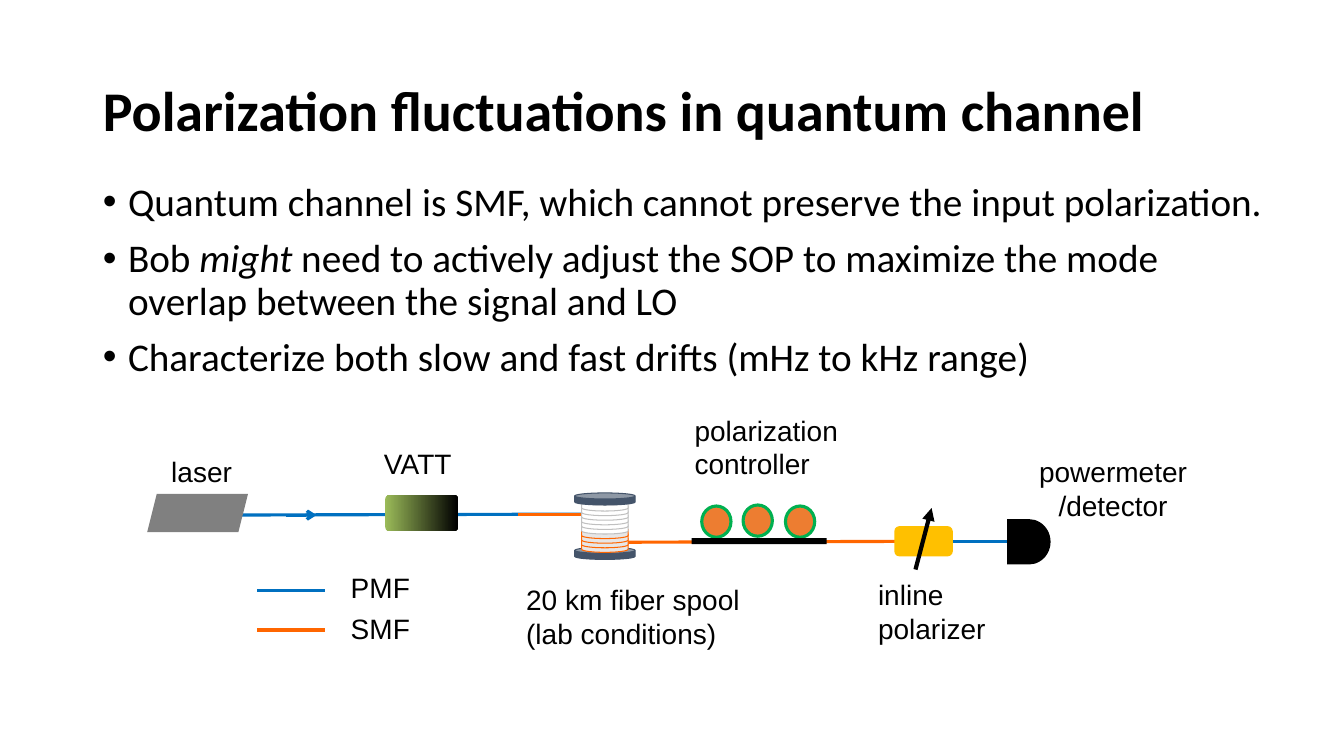
from lxml import etree
from pptx import Presentation
from pptx.dml.color import RGBColor
from pptx.enum.shapes import MSO_CONNECTOR, MSO_SHAPE
from pptx.enum.text import MSO_ANCHOR, MSO_AUTO_SIZE, PP_ALIGN
from pptx.oxml.ns import qn
from pptx.util import Inches, Pt

BLACK = RGBColor(0x00, 0x00, 0x00)
WHITE = RGBColor(0xFF, 0xFF, 0xFF)
GREY = RGBColor(0x80, 0x80, 0x80)
PALE = RGBColor(0xE7, 0xE6, 0xE6)
THREAD = RGBColor(0xC0, 0xC0, 0xC0)
SLATE = RGBColor(0x44, 0x54, 0x6A)
BLUE = RGBColor(0x00, 0x70, 0xC0)
ORANGE = RGBColor(0xFF, 0x66, 0x00)
PADDLE = RGBColor(0xED, 0x7D, 0x31)
GREEN = RGBColor(0x00, 0xB0, 0x50)
OLIVE = RGBColor(0x9B, 0xBB, 0x59)
AMBER = RGBColor(0xFF, 0xC0, 0x00)

# Content: bullets are lists of (text, italic) runs
TITLE = "Polarization fluctuations in quantum channel"
BULLETS = [
    [("Quantum channel is SMF, which cannot preserve the input polarization.", False)],
    [("Bob ", False), ("might", True),
     (" need to actively adjust the SOP to maximize the mode overlap "
      "between the signal and LO", False)],
    [("Characterize both slow and fast drifts (mHz to kHz range)", False)],
]
# Labels: lines, left, top, width, height, alignment, space before later lines
LABELS = [
    (["laser"], 1.6, 4.46, 0.95, 0.43, PP_ALIGN.LEFT, 0),
    (["VATT"], 3.71, 4.38, 0.95, 0.46, PP_ALIGN.LEFT, 0),
    (["polarization ", "controller"], 6.79, 4.05, 1.71, 0.77, PP_ALIGN.LEFT, 0),
    (["20 km fiber spool ", "(lab conditions)"], 5.12, 5.73, 2.41, 0.77, PP_ALIGN.LEFT, 0),
    (["inline ", "polarizer"], 8.61, 5.68, 1.28, 0.77, PP_ALIGN.LEFT, 0),
    (["powermeter", "/detector"], 10.2, 4.46, 1.68, 0.77, PP_ALIGN.CENTER, 0),
    (["PMF", "SMF"], 3.38, 5.61, 1.28, 0.91, PP_ALIGN.LEFT, 5),
]

prs = Presentation()
prs.slide_width, prs.slide_height = Inches(13.33), Inches(7.5)
slide = prs.slides.add_slide(prs.slide_layouts[1])


def place(shape, left, top, width, height):
    shape.left, shape.top = Inches(left), Inches(top)
    shape.width, shape.height = Inches(width), Inches(height)


def add_run(paragraph, text, font, size, bold=False, italic=False):
    run = paragraph.add_run()
    run.text = text
    run.font.name, run.font.size = font, Pt(size)
    run.font.bold, run.font.italic = bold, italic
    run.font.color.rgb = BLACK


def add_part(kind, box, fill, line=None, weight=0.75, adj=None, parent=slide):
    part = parent.shapes.add_shape(kind, *map(Inches, box))
    part.shadow.inherit = False
    part.fill.solid()
    part.fill.fore_color.rgb = fill
    if line is None:
        part.line.fill.background()
    else:
        part.line.color.rgb = line
        part.line.width = Pt(weight)
    if adj is not None:
        part.adjustments[0] = adj
    return part


def add_line(start, end, color, weight=2.25, head=None, parent=slide):
    line = parent.shapes.add_connector(
        MSO_CONNECTOR.STRAIGHT, *map(Inches, (*start, *end)))
    line.line.color.rgb = color
    line.line.width = Pt(weight)
    if head:
        etree.SubElement(line.line._get_or_add_ln(), qn("a:tailEnd"), type=head)
    etree.SubElement(line._element.spPr, qn("a:effectLst"))


# Title and bullets
title, body = slide.shapes.title, slide.placeholders[1]
place(title, 0.92, 0.4, 11.5, 1.45)
place(body, 0.92, 1.76, 11.84, 2.71)
for holder in (title, body):
    holder.text_frame.word_wrap = True
    holder.text_frame.auto_size = MSO_AUTO_SIZE.NONE
title.text_frame.vertical_anchor = MSO_ANCHOR.MIDDLE
heading = title.text_frame.paragraphs[0]
heading.alignment = PP_ALIGN.LEFT
heading.line_spacing = 0.9
add_run(heading, TITLE, "Calibri", 40, bold=True)

for i, runs in enumerate(BULLETS):
    frame = body.text_frame
    paragraph = frame.add_paragraph() if i else frame.paragraphs[0]
    paragraph.line_spacing, paragraph.space_before = 0.9, Pt(10)
    props = paragraph._p.get_or_add_pPr()
    props.set("marL", str(Inches(0.25)))
    props.set("indent", str(Inches(-0.25)))
    etree.SubElement(props, qn("a:buFont"), typeface="Arial")
    etree.SubElement(props, qn("a:buChar"), char="•")
    for text, italic in runs:
        add_run(paragraph, text, "Calibri", 28, italic=italic)

# Fibers behind the components
add_line((6, 5.38), (9.31, 5.37), ORANGE)
add_line((2.14, 5.11), (6, 5.1), BLUE)
add_line((2.84, 5.11), (3.14, 5.11), BLUE, head="arrow")
add_line((5.14, 5.1), (5.81, 5.1), ORANGE)
add_line((9.45, 5.37), (10.12, 5.37), BLUE)

# Laser and attenuator
add_part(MSO_SHAPE.PARALLELOGRAM, (1.46, 4.9, 1, 0.38), GREY, adj=0.25)
vatt = add_part(MSO_SHAPE.ROUNDED_RECTANGLE, (3.82, 4.91, 0.72, 0.36), OLIVE, adj=0.12)
vatt.fill.gradient()
vatt.fill.gradient_angle = 0
for stop, color, position in zip(vatt.fill.gradient_stops, (OLIVE, BLACK), (0, 1)):
    stop.color.rgb, stop.position = color, position

# Fiber spool: flanges around ten windings, stacked from the bottom up
spool = slide.shapes.add_group_shape()
WINDINGS, ORANGE_WINDINGS = 10, 4
add_part(MSO_SHAPE.CAN, (5.7, 5.43, 0.6, 0.12), SLATE, SLATE, adj=0.5, parent=spool)
for i in range(WINDINGS):
    fill, line = (PALE, ORANGE) if i < ORANGE_WINDINGS else (WHITE, THREAD)
    top = 5.36 - i * 0.41 / (WINDINGS - 1)
    add_part(MSO_SHAPE.CAN, (5.77, top, 0.46, 0.12), fill, line, adj=0.5, parent=spool)
add_part(MSO_SHAPE.CAN, (5.7, 4.89, 0.6, 0.12), SLATE, SLATE, adj=0.5, parent=spool)

# Polarization controller: three paddles on a base
controller = slide.shapes.add_group_shape()
for left, top in ((6.96, 5.02), (7.37, 5.01), (7.79, 5.02)):
    add_part(MSO_SHAPE.OVAL, (left, top, 0.29, 0.31), PADDLE, GREEN, 2.25, parent=controller)
add_part(MSO_SHAPE.RECTANGLE, (6.86, 5.34, 1.34, 0.06), BLACK, parent=controller)

# Inline polarizer and detector
add_part(MSO_SHAPE.ROUNDED_RECTANGLE, (8.87, 5.22, 0.58, 0.3), AMBER)
add_line((9.08, 5.65), (9.24, 5.04), BLACK, 3, "triangle")
add_part(MSO_SHAPE.FLOWCHART_DELAY, (9.99, 5.15, 0.43, 0.45), BLACK)

# Legend lines
legend = slide.shapes.add_group_shape()
for y, color in ((5.86, BLUE), (6.25, ORANGE)):
    add_line((2.55, y), (3.22, y), color, parent=legend)

# Labels
for lines, left, top, width, height, align, gap in LABELS:
    box = slide.shapes.add_textbox(*map(Inches, (left, top, width, height)))
    box.text_frame.word_wrap = True
    for i, text in enumerate(lines):
        paragraph = box.text_frame.add_paragraph() if i else box.text_frame.paragraphs[0]
        paragraph.alignment = align
        paragraph.space_before = Pt(gap if i else 0)
        add_run(paragraph, text, "Arial", 20)

prs.save("out.pptx")
